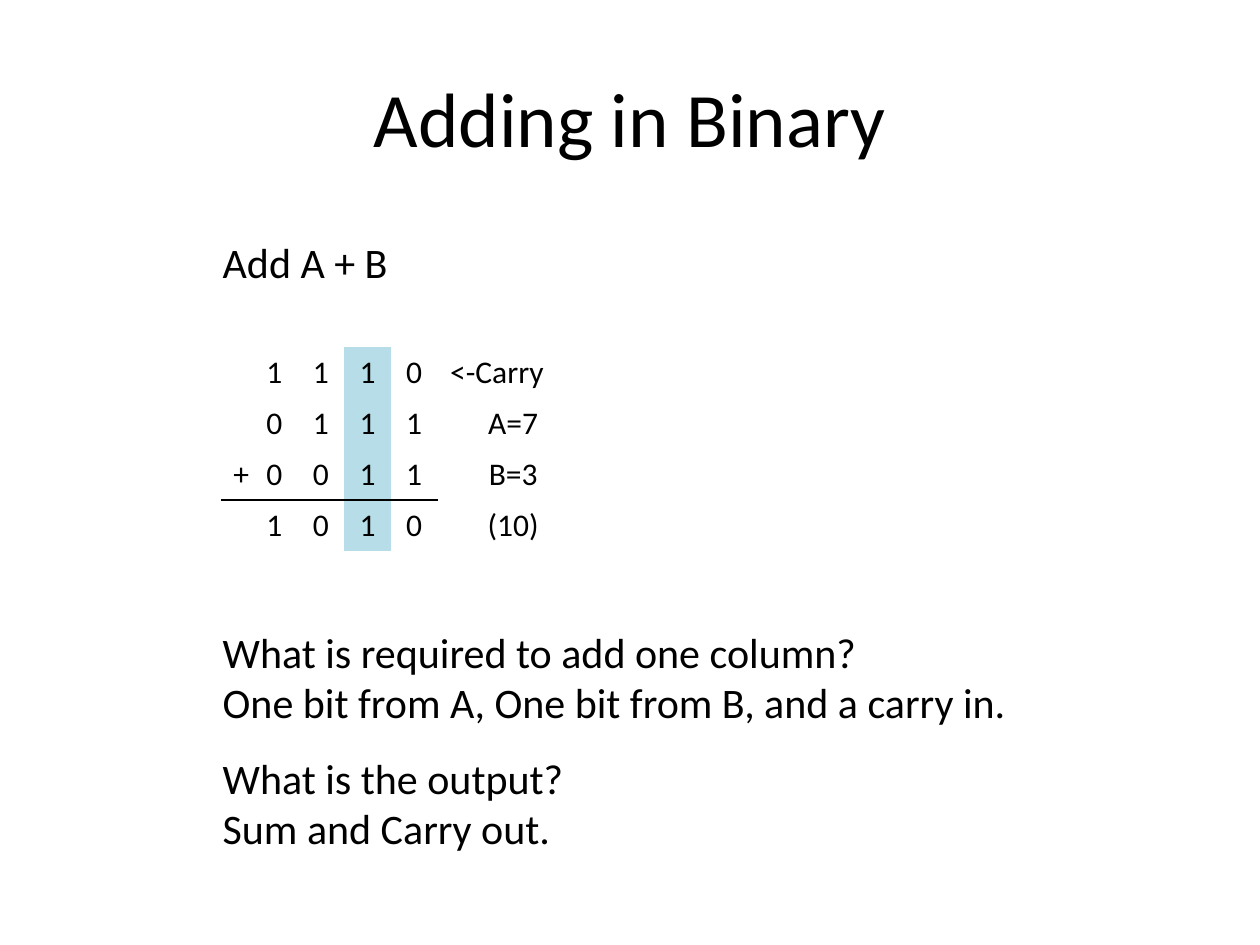
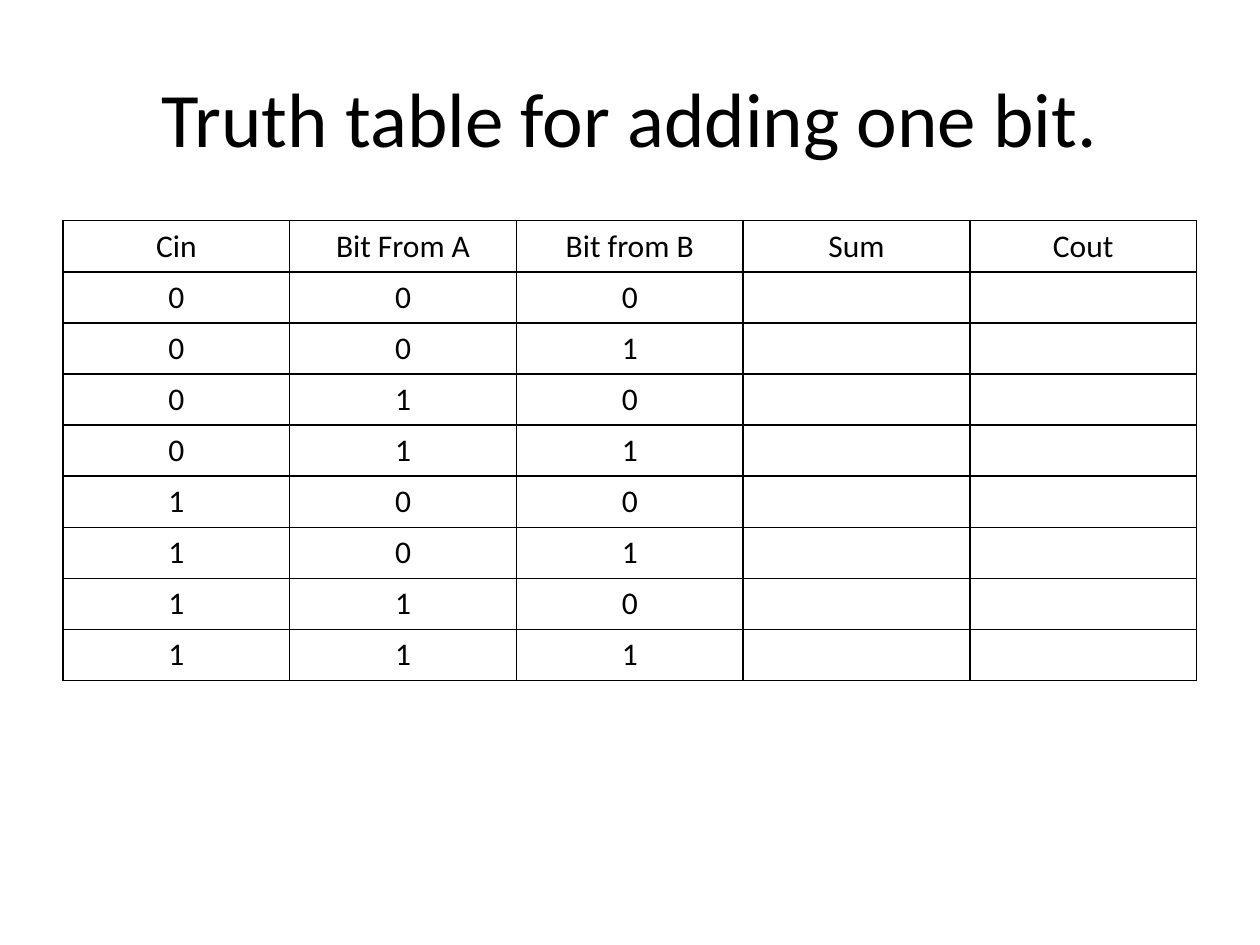
import dataclasses
import itertools

import lxml.etree
import pptx
import pptx.dml.color
import pptx.enum.text
import pptx.oxml.ns
import pptx.util

Cm = pptx.util.Cm
Pt = pptx.util.Pt
ALIGN = pptx.enum.text.PP_ALIGN


@dataclasses.dataclass(frozen=True)
class Theme:
    font: str = "Calibri"
    ink: str = "000000"
    highlight: str = "B7DEE8"
    title_size: int = 44
    body_size: int = 24
    table_size: int = 18
    rule_width: int = 1
    plain_table_style: str = "{2D5ABB26-0587-4C30-8999-92F81FD0307C}"


THEME = Theme()
ROW_HEIGHT = Cm(1.03)
TEXT_LEFT = Cm(4.24)
ALL_SIDES = ("L", "R", "T", "B")


def format_text(text_frame, size, alignment):
    for paragraph in text_frame.paragraphs:
        paragraph.alignment = alignment
        for run in paragraph.runs:
            run.font.name = THEME.font
            run.font.size = Pt(size)
            run.font.color.rgb = pptx.dml.color.RGBColor.from_string(THEME.ink)


def add_titled_slide(presentation, title):
    slide = presentation.slides.add_slide(presentation.slide_layouts[5])
    shape = slide.shapes.title
    shape.left, shape.top, shape.width, shape.height = Cm(1.27), Cm(0.76), Cm(22.86), Cm(3.18)
    shape.text_frame.text = title
    shape.text_frame.vertical_anchor = pptx.enum.text.MSO_ANCHOR.MIDDLE
    format_text(shape.text_frame, THEME.title_size, ALIGN.CENTER)
    return slide


def add_text(slide, top, width, height, text):
    text_frame = slide.shapes.add_textbox(TEXT_LEFT, top, width, height).text_frame
    text_frame.word_wrap = True
    text_frame.auto_size = pptx.enum.text.MSO_AUTO_SIZE.SHAPE_TO_FIT_TEXT
    text_frame.text = text
    format_text(text_frame, THEME.body_size, ALIGN.LEFT)


def add_plain_table(slide, left, top, column_widths, rows):
    """Add a table of centred text without banding, fills or borders."""
    frame = slide.shapes.add_table(len(rows), len(column_widths), left, top,
                                   sum(column_widths), ROW_HEIGHT * len(rows))
    table = frame.table
    table.first_row = table.horz_banding = False
    style = next(frame.element.iter(pptx.oxml.ns.qn("a:tableStyleId")))
    style.text = THEME.plain_table_style
    for column, width in zip(table.columns, column_widths):
        column.width = width
    for row, values in zip(table.rows, rows):
        row.height = ROW_HEIGHT
        for cell, value in zip(row.cells, values):
            cell.text_frame.text = value
            format_text(cell.text_frame, THEME.table_size, ALIGN.CENTER)
            cell.fill.background()
    return table


def set_borders(cell, sides):
    """Draw a rule on each of the sides, named L, R, T and B in that order."""
    qn = pptx.oxml.ns.qn
    properties = cell._tc.get_or_add_tcPr()
    for position, side in enumerate(sides):
        line = lxml.etree.Element(qn(f"a:ln{side}"), w=str(Pt(THEME.rule_width)))
        fill = lxml.etree.SubElement(line, qn("a:solidFill"))
        lxml.etree.SubElement(fill, qn("a:srgbClr"), val=THEME.ink)
        properties.insert(position, line)


def add_binary_sum(slide):
    rows = [
        ("", *"1110", "<-Carry"),
        ("", *"0111", "A=7"),
        ("+", *"0011", "B=3"),
        ("", *"1010", "(10)"),
    ]
    sign_width, digit_width, note_width = Cm(0.61), Cm(0.94), Cm(3.05)
    widths = [sign_width, *[digit_width] * 4, note_width]
    table = add_plain_table(slide, Cm(4.45), Cm(6.99), widths, rows)
    table.cell(0, 5).text_frame.paragraphs[0].alignment = ALIGN.LEFT
    for column in range(5):
        set_borders(table.cell(2, column), "B")
        set_borders(table.cell(3, column), "T")
    for row in range(len(rows)):
        fill = table.cell(row, 3).fill
        fill.solid()
        fill.fore_color.rgb = pptx.dml.color.RGBColor.from_string(THEME.highlight)


def add_truth_table(slide):
    header = ("Cin", "Bit From A", "Bit from B", "Sum", "Cout")
    rows = [header]
    rows += [(*inputs, "", "") for inputs in itertools.product("01", repeat=3)]
    table = add_plain_table(slide, Cm(1.27), Cm(4.45), [Cm(4.57)] * len(header), rows)
    for cell in table.iter_cells():
        set_borders(cell, ALL_SIDES)


def main():
    presentation = pptx.Presentation()
    presentation.slide_width, presentation.slide_height = Cm(25.4), Cm(19.05)

    adding = add_titled_slide(presentation, "Adding in Binary")
    add_binary_sum(adding)
    add_text(adding, Cm(4.65), Cm(10.36), Cm(1.27), "Add A + B")
    add_text(adding, Cm(12.5), Cm(17.15), Cm(2.31),
             "What is required to add one column?\n"
             "One bit from A, One bit from B, and a carry in.")
    add_text(adding, Cm(15.04), Cm(14.6), Cm(2.31),
             "What is the output?\nSum and Carry out.")

    truth = add_titled_slide(presentation, "Truth table for adding one bit.")
    add_truth_table(truth)

    presentation.save("out.pptx")


if __name__ == "__main__":
    main()
